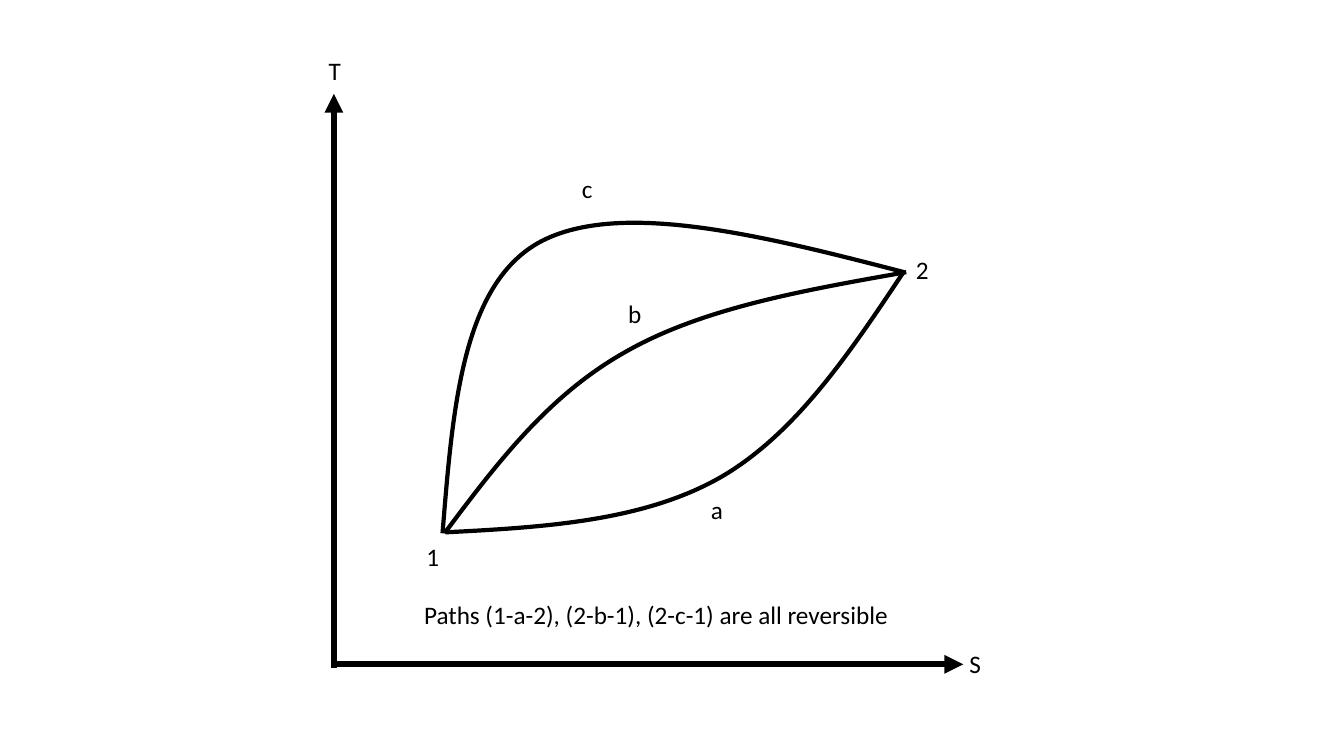
"""Temperature-entropy diagram with three reversible paths between two states."""
from lxml import etree
from pptx import Presentation
from pptx.dml.color import RGBColor
from pptx.enum.shapes import MSO_CONNECTOR
from pptx.enum.text import MSO_AUTO_SIZE, PP_ALIGN
from pptx.oxml.ns import qn
from pptx.util import Pt

STRAIGHT = MSO_CONNECTOR.STRAIGHT
GROW = MSO_AUTO_SIZE.SHAPE_TO_FIT_TEXT
LEFT, CENTER = PP_ALIGN.LEFT, PP_ALIGN.CENTER
BLACK = "000000"


def paint(color, tint):
    color.rgb = RGBColor.from_string(tint)


deck = Presentation()
deck.slide_width, deck.slide_height = Pt(960), Pt(540)
slide = deck.slides.add_slide(deck.slide_layouts[6])
shapes = slide.shapes

axes = [
    (238.5, 476.8, 238.5, 67),
    (237.1, 474.5, 688.1, 474.5),
]
for ends in axes:
    axis = shapes.add_connector(STRAIGHT, *[Pt(n) for n in ends])
    paint(axis.line.color, BLACK)
    axis.line.width = Pt(4.5)
    etree.SubElement(axis.line._get_or_add_ln(), qn("a:tailEnd"), type="triangle")
    etree.SubElement(axis._element.spPr, qn("a:effectLst"))

curves = [
    [(319, 380.2),
     (389.5, 376.6), (459.4, 372.2), (514.1, 341.3),
     (568.1, 310.3), (607, 252), (645.8, 193.7)],
    [(317.5, 380.9),
     (354.2, 331.9), (391, 283), (445.7, 252),
     (500.4, 220.3), (573.8, 207.4), (647.3, 194.4)],
    [(316.1, 380.9),
     (323.3, 293), (329.8, 204.5), (384.5, 173.5),
     (402.5, 163.4), (426.2, 159.1), (452.9, 159.1),
     (507.6, 159.1), (576.7, 176.4), (645.8, 194.4)],
]
for knots in curves:
    start, *rest = [(Pt(x), Pt(y)) for x, y in knots]
    pen = shapes.build_freeform(*start)
    pen.add_line_segments(rest, close=False)
    curve = pen.convert_to_shape()
    curve.shadow.inherit = False
    curve.fill.background()
    paint(curve.line.color, BLACK)
    curve.line.width = Pt(3)
    steps = list(curve._element.iter(qn("a:lnTo")))
    for i in range(0, len(steps), 3):
        bend = etree.Element(qn("a:cubicBezTo"))
        steps[i].addprevious(bend)
        for step in steps[i:i + 3]:
            bend.append(step[0])
            step.getparent().remove(step)

labels = [
    ("T", 227.7, 36, 21.6, LEFT),
    ("S", 685.4, 459.8, 21.6, LEFT),
    ("1", 297.4, 383, 21.6, LEFT),
    ("2", 647.1, 177.8, 41, LEFT),
    ("a", 500.8, 349.2, 41, LEFT),
    ("b", 441.6, 209.5, 41, LEFT),
    ("c", 408.5, 120.2, 41, LEFT),
    ("Paths (1-a-2), (2-b-1), (2-c-1) are all reversible", 285.1, 424.4, 367.2, CENTER),
]
for text, x, y, width, align in labels:
    box = shapes.add_textbox(Pt(x), Pt(y), Pt(width), Pt(29))
    frame = box.text_frame
    frame.word_wrap = width > 30
    frame.auto_size = GROW
    line = frame.paragraphs[0]
    line.text = text
    line.alignment = align
    line.font.name = "Calibri"
    line.font.size = Pt(18)
    paint(line.font.color, BLACK)

deck.save("out.pptx")
